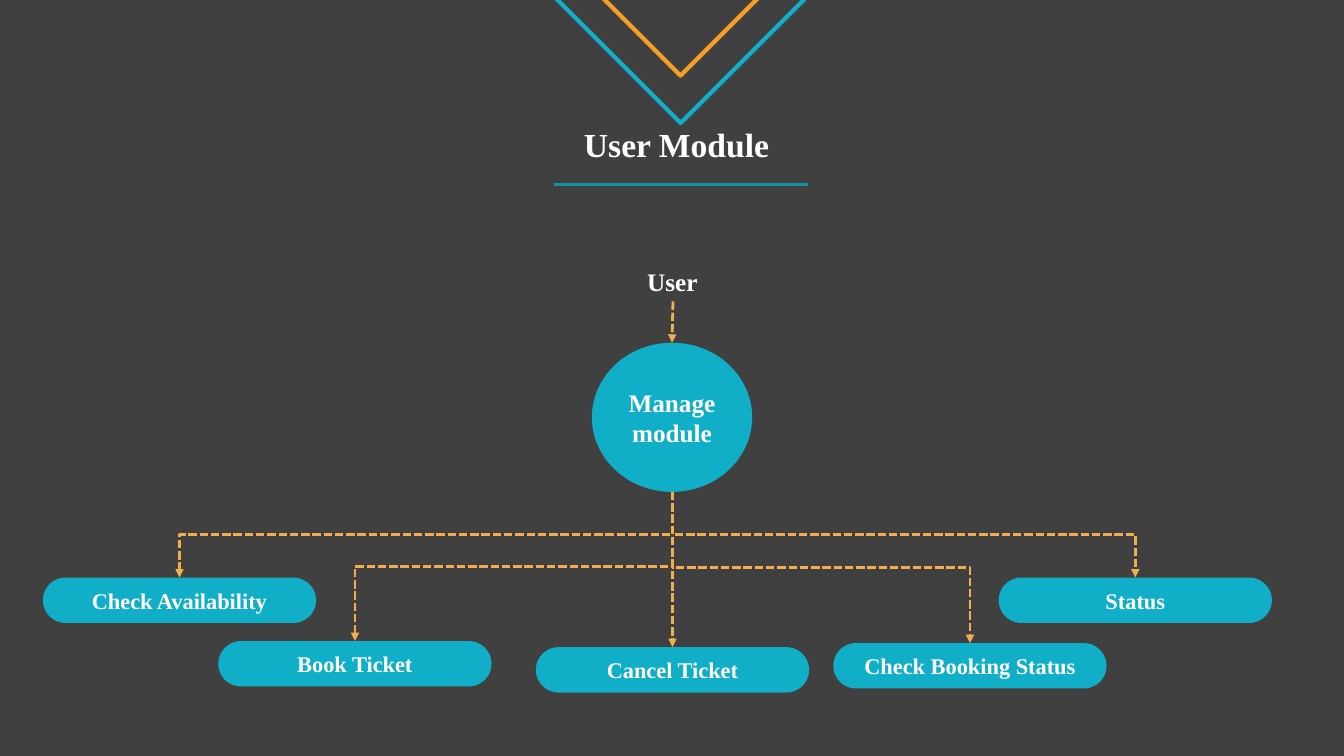
from lxml import etree
from pptx import Presentation
from pptx.dml.color import RGBColor
from pptx.enum.dml import MSO_LINE_DASH_STYLE as Dash
from pptx.enum.shapes import MSO_CONNECTOR as Link, MSO_SHAPE as Shape
from pptx.enum.text import MSO_ANCHOR as Anchor, MSO_AUTO_SIZE as AutoSize, PP_ALIGN as Align
from pptx.oxml.ns import qn
from pptx.util import Inches, Pt

DARK = RGBColor(0x40, 0x40, 0x40)
TEAL = RGBColor(0x11, 0xAE, 0xC7)
DEEP_TEAL = RGBColor(0x0F, 0x93, 0xA9)
ORANGE = RGBColor(0xF5, 0x9F, 0x26)
SAND = RGBColor(0xF2, 0xAE, 0x4E)
WHITE = RGBColor(0xFF, 0xFF, 0xFF)

CENTER = 6.67
PILL_WIDTH, PILL_HEIGHT = 2.71, 0.45
# Label, centre x and top of each action
ACTIONS = [
    ("Check Availability", 1.78, 5.73),
    ("Status", 11.26, 5.73),
    ("Book Ticket", 3.52, 6.36),
    ("Cancel Ticket", CENTER, 6.42),
    ("Check Booking Status", 9.62, 6.38),
]


def write(shape, text, size, anchor=Anchor.MIDDLE, wrap=True, align=Align.CENTER):
    frame = shape.text_frame
    frame.word_wrap = wrap
    frame.auto_size = AutoSize.NONE if wrap else AutoSize.SHAPE_TO_FIT_TEXT
    frame.vertical_anchor = anchor
    frame.text = text
    for para in frame.paragraphs:
        para.alignment = align
        for span in para.runs:
            font = span.font
            font.name, font.size, font.bold = "Times New Roman", Pt(size), True
            font.color.rgb = WHITE


def add_shape(slide, kind, box, fill=None, line=None):
    shape = slide.shapes.add_shape(kind, *map(Inches, box))
    shape.shadow.inherit = False
    if fill is None:
        shape.fill.background()
    else:
        shape.fill.solid()
        shape.fill.fore_color.rgb = fill
    if line is None:
        shape.line.fill.background()
    else:
        shape.line.color.rgb = line
        shape.line.width = Pt(3)
    return shape


def add_line(slide, kind, start, end, color, arrow=False):
    connector = slide.shapes.add_connector(kind, *map(Inches, (*start, *end)))
    connector.line.color.rgb = color
    connector.line.width = Pt(2)
    properties = connector._element.spPr
    if arrow:
        connector.line.dash_style = Dash.SQUARE_DOT
        tail = etree.SubElement(properties.find(qn("a:ln")), qn("a:tailEnd"))
        tail.set("type", "triangle")
    etree.SubElement(properties, qn("a:effectLst"))
    return connector


def add_branch(slide, start, end):
    """Elbow arrow that leaves downwards, runs sideways and arrives downwards."""
    (x1, y1), (x2, y2) = start, end
    middle_x, middle_y = (x1 + x2) / 2, (y1 + y2) / 2
    # The elbow is laid out sideways, then turned a quarter about its centre
    half_run, half_drop = abs(x2 - x1) / 2, (y2 - y1) / 2
    side = 1 if x2 > x1 else -1
    connector = add_line(
        slide, Link.ELBOW,
        (middle_x + side * half_drop, middle_y - half_run),
        (middle_x - side * half_drop, middle_y + half_run),
        SAND, arrow=True)
    turn = 270 if side > 0 else 90
    connector._element.spPr.find(qn("a:xfrm")).set("rot", str(turn * 60000))


def add_header(slide, box):
    left, top, width, height = box
    # Nested diamonds hanging from the top edge
    middle = left + width / 2
    for size, tip, color in ((2.85, 1.22, TEAL), (3.87, 0.75, ORANGE)):
        add_shape(slide, Shape.DIAMOND,
                  (middle - size / 2, tip - size, size, size), line=color)
    # Title and its rule
    title = slide.shapes.title
    title.left, title.top = Inches(left + 0.19), Inches(top + 1.18)
    title.width, title.height = Inches(2.06), Inches(0.5)
    write(title, "User Module", 24, anchor=Anchor.TOP, wrap=False)
    add_line(slide, Link.STRAIGHT, (left, top + height),
             (left + width, top + height), DEEP_TEAL)


def add_flow(slide, box):
    left, top, width, height = box
    # User label and central circle
    user = slide.shapes.add_textbox(*map(Inches, (CENTER - 0.35, top, 0.71, 0.4)))
    write(user, "User", 18, anchor=Anchor.TOP, wrap=False, align=Align.LEFT)
    circle = add_shape(slide, Shape.OVAL, (CENTER - 0.8, top + 0.81, 1.59, 1.48), fill=TEAL)
    write(circle, "Manage\nmodule", 18)
    entry = add_line(slide, Link.STRAIGHT, (CENTER, top + 0.4),
                     (CENTER, top + 0.81), SAND, arrow=True)
    entry.begin_connect(user, 2)
    entry.end_connect(circle, 0)

    # Actions, each reached by an arrow from the circle
    start = (CENTER, top + 2.29)
    for label, middle, pill_top in ACTIONS:
        pill = add_shape(slide, Shape.ROUNDED_RECTANGLE,
                         (middle - PILL_WIDTH / 2, pill_top, PILL_WIDTH, PILL_HEIGHT), fill=TEAL)
        pill.adjustments[0] = 0.5
        write(pill, label, 16)
        if middle == CENTER:
            drop = add_line(slide, Link.STRAIGHT, start, (middle, pill_top), SAND, arrow=True)
            drop.end_connect(pill, 0)
        else:
            add_branch(slide, start, (middle, pill_top))


def main():
    deck = Presentation()
    deck.slide_width, deck.slide_height = Inches(13.33), Inches(7.5)
    page = deck.slides.add_slide(deck.slide_layouts[5])
    page.background.fill.solid()
    page.background.fill.fore_color.rgb = DARK
    add_header(page, (5.49, 0, 2.52, 1.83))
    add_flow(page, (0.43, 2.59, 12.18, 4.28))
    deck.save("out.pptx")


if __name__ == "__main__":
    main()
